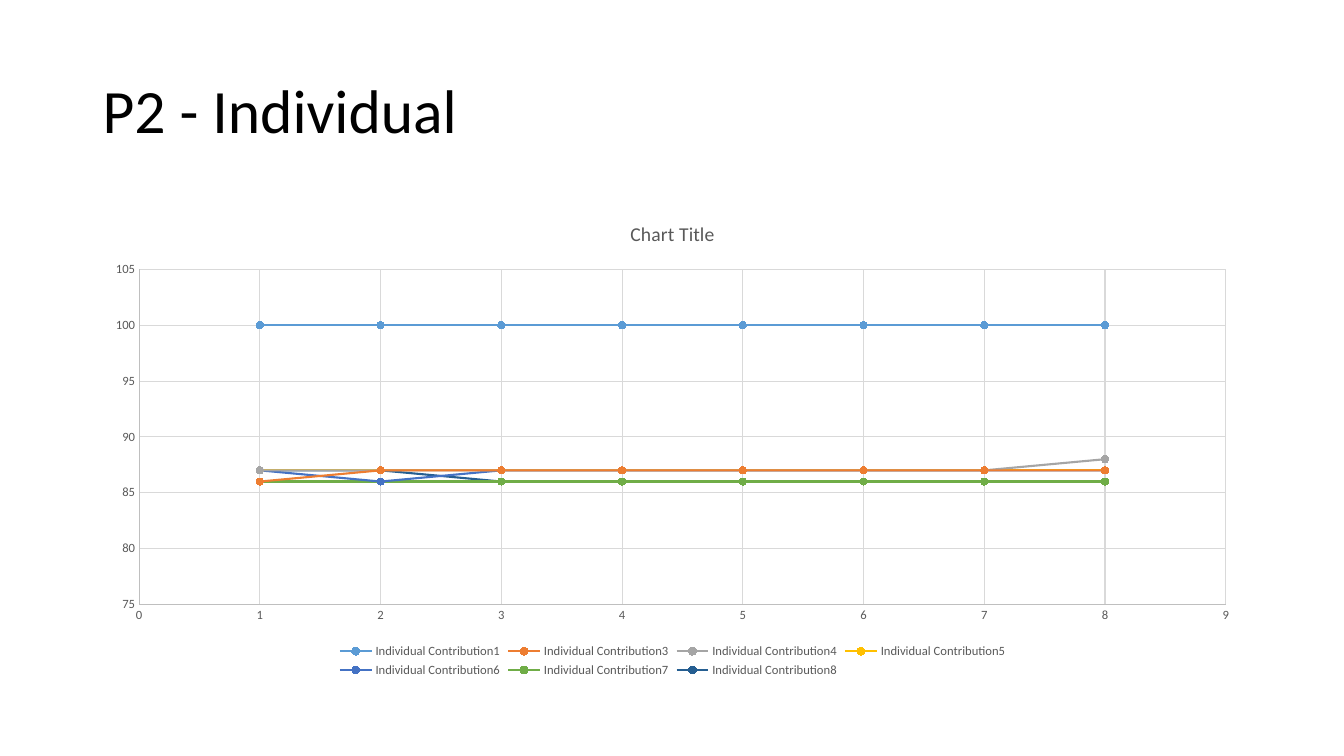
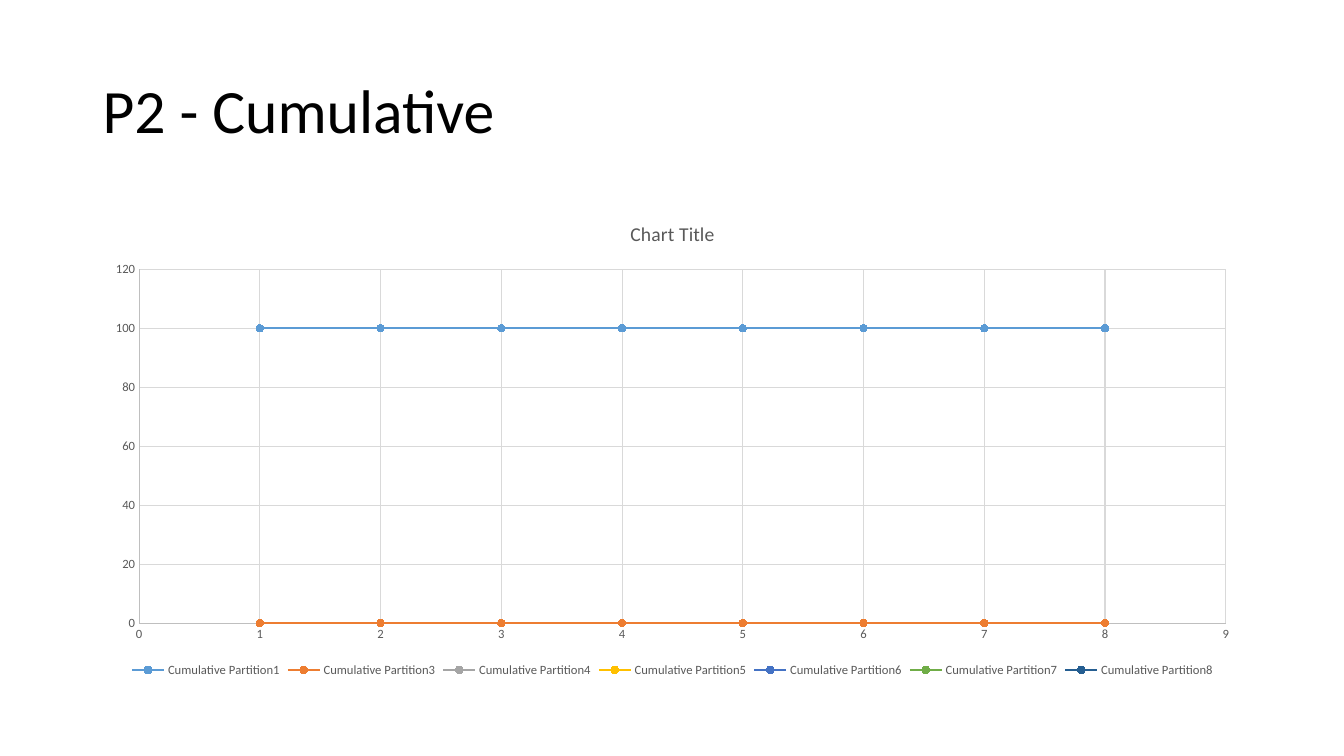
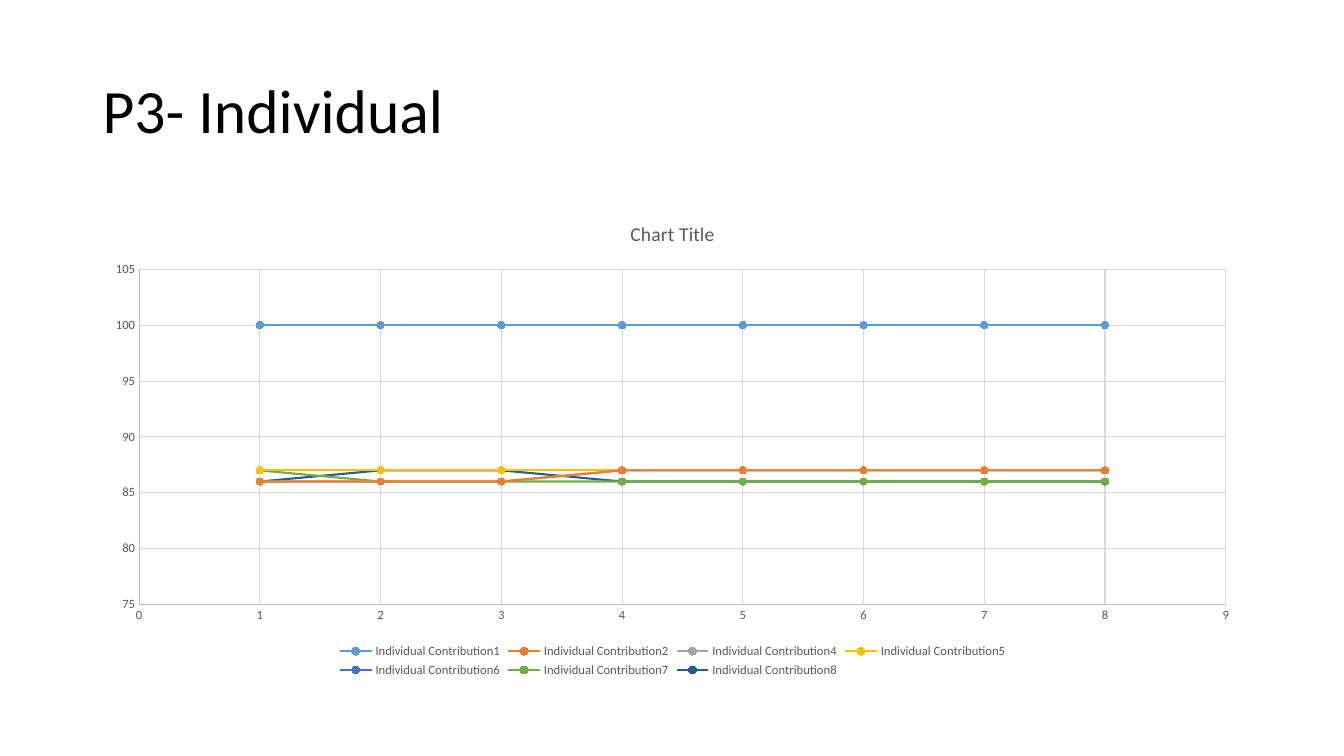
"""Build three slides of smoothed scatter charts for the P2 and P3 partitions."""
import pptx
import pptx.chart.data
import pptx.dml.color
import pptx.enum.chart
import pptx.enum.text
import pptx.util

Inches = pptx.util.Inches
Pt = pptx.util.Pt
RGBColor = pptx.dml.color.RGBColor

FONT = "Calibri"
BLACK = RGBColor(0x00, 0x00, 0x00)
LABEL_GRAY = RGBColor(0x59, 0x59, 0x59)
AXIS_GRAY = RGBColor(0xBF, 0xBF, 0xBF)
GRID_GRAY = RGBColor(0xD9, 0xD9, 0xD9)
SERIES_COLORS = [
    RGBColor(0x5B, 0x9B, 0xD5),
    RGBColor(0xED, 0x7D, 0x31),
    RGBColor(0xA5, 0xA5, 0xA5),
    RGBColor(0xFF, 0xC0, 0x00),
    RGBColor(0x44, 0x72, 0xC4),
    RGBColor(0x70, 0xAD, 0x47),
    RGBColor(0x25, 0x5E, 0x91),
]

STEPS = range(1, 9)
CHART_TITLE = "Chart Title"
STEP_SCALE = (0, 9, 1)
INDIVIDUAL_SCALE = (75, 105, 5)
CUMULATIVE_SCALE = (0, 120, 20)

P2_INDIVIDUAL = {
    1: [100] * 8,
    3: [86, 87, 87, 87, 87, 87, 87, 87],
    4: [87, 87, 87, 87, 87, 87, 87, 88],
    5: [87] * 8,
    6: [87, 86, 87, 87, 87, 87, 87, 87],
    7: [86] * 8,
    8: [87, 87, 86, 86, 86, 86, 86, 86],
}
P2_CUMULATIVE = {
    1: [100] * 8,
    **{partition: [0] * 8 for partition in range(3, 9)},
}
P3_INDIVIDUAL = {
    1: [100] * 8,
    2: [86, 86, 86, 87, 87, 87, 87, 87],
    4: [86, 86, 86, 87, 87, 87, 87, 87],
    5: [87] * 8,
    6: [87] * 8,
    7: [87, 86, 86, 86, 86, 86, 86, 86],
    8: [86, 87, 87, 86, 86, 86, 86, 86],
}
SLIDES = [
    ("P2 - Individual", "Individual Contribution", INDIVIDUAL_SCALE, P2_INDIVIDUAL),
    ("P2 - Cumulative", "Cumulative Partition", CUMULATIVE_SCALE, P2_CUMULATIVE),
    ("P3- Individual", "Individual Contribution", INDIVIDUAL_SCALE, P3_INDIVIDUAL),
]

LEFT, WIDTH = Inches(0.92), Inches(11.5)
TITLE_TOP, TITLE_HEIGHT = Inches(0.4), Inches(1.45)
CHART_TOP, CHART_HEIGHT = Inches(2), Inches(4.76)


def style_font(font, size, color):
    font.name = FONT
    font.size = Pt(size)
    font.bold = False
    font.color.rgb = color


def style_line(line, color, width):
    line.color.rgb = color
    line.width = Pt(width)


def add_title(slide, wording):
    frame = slide.shapes.add_textbox(LEFT, TITLE_TOP, WIDTH, TITLE_HEIGHT).text_frame
    frame.word_wrap = True
    frame.vertical_anchor = pptx.enum.text.MSO_ANCHOR.MIDDLE
    frame.text = wording
    heading = frame.paragraphs[0]
    heading.line_spacing = 0.9
    style_font(heading.runs[0].font, 44, BLACK)


def style_axis(axis, scale):
    axis.minimum_scale, axis.maximum_scale, axis.major_unit = scale
    axis.major_tick_mark = pptx.enum.chart.XL_TICK_MARK.NONE
    axis.minor_tick_mark = pptx.enum.chart.XL_TICK_MARK.NONE
    axis.has_major_gridlines = True
    style_line(axis.major_gridlines.format.line, GRID_GRAY, 0.75)
    style_line(axis.format.line, AXIS_GRAY, 0.75)
    style_font(axis.tick_labels.font, 9, LABEL_GRAY)


def style_series(series, color):
    series.smooth = True
    style_line(series.format.line, color, 1.5)
    series.marker.style = pptx.enum.chart.XL_MARKER_STYLE.CIRCLE
    series.marker.size = 5
    series.marker.format.fill.solid()
    series.marker.format.fill.fore_color.rgb = color
    style_line(series.marker.format.line, color, 0.75)


def add_scatter(slide, prefix, value_scale, partitions):
    points = pptx.chart.data.XyChartData()
    for number, values in partitions.items():
        partition = points.add_series(f"{prefix}{number}")
        for step, value in zip(STEPS, values):
            partition.add_data_point(step, value)
    chart = slide.shapes.add_chart(
        pptx.enum.chart.XL_CHART_TYPE.XY_SCATTER_SMOOTH,
        LEFT, CHART_TOP, WIDTH, CHART_HEIGHT, points,
    ).chart
    style_font(chart.font, 10, BLACK)
    chart.has_title = True
    chart.chart_title.include_in_layout = False
    chart.chart_title.text_frame.text = CHART_TITLE
    style_font(chart.chart_title.text_frame.paragraphs[0].runs[0].font, 14, LABEL_GRAY)
    chart.has_legend = True
    chart.legend.position = pptx.enum.chart.XL_LEGEND_POSITION.BOTTOM
    chart.legend.include_in_layout = False
    style_font(chart.legend.font, 9, LABEL_GRAY)
    style_axis(chart.category_axis, STEP_SCALE)
    style_axis(chart.value_axis, value_scale)
    plot = chart.plots[0]
    plot.vary_by_categories = False
    for series, color in zip(plot.series, SERIES_COLORS):
        style_series(series, color)


deck = pptx.Presentation()
deck.slide_width, deck.slide_height = Inches(13.33), Inches(7.5)
for title, prefix, value_scale, partitions in SLIDES:
    slide = deck.slides.add_slide(deck.slide_layouts[6])
    add_title(slide, title)
    add_scatter(slide, prefix, value_scale, partitions)
deck.save("out.pptx")
